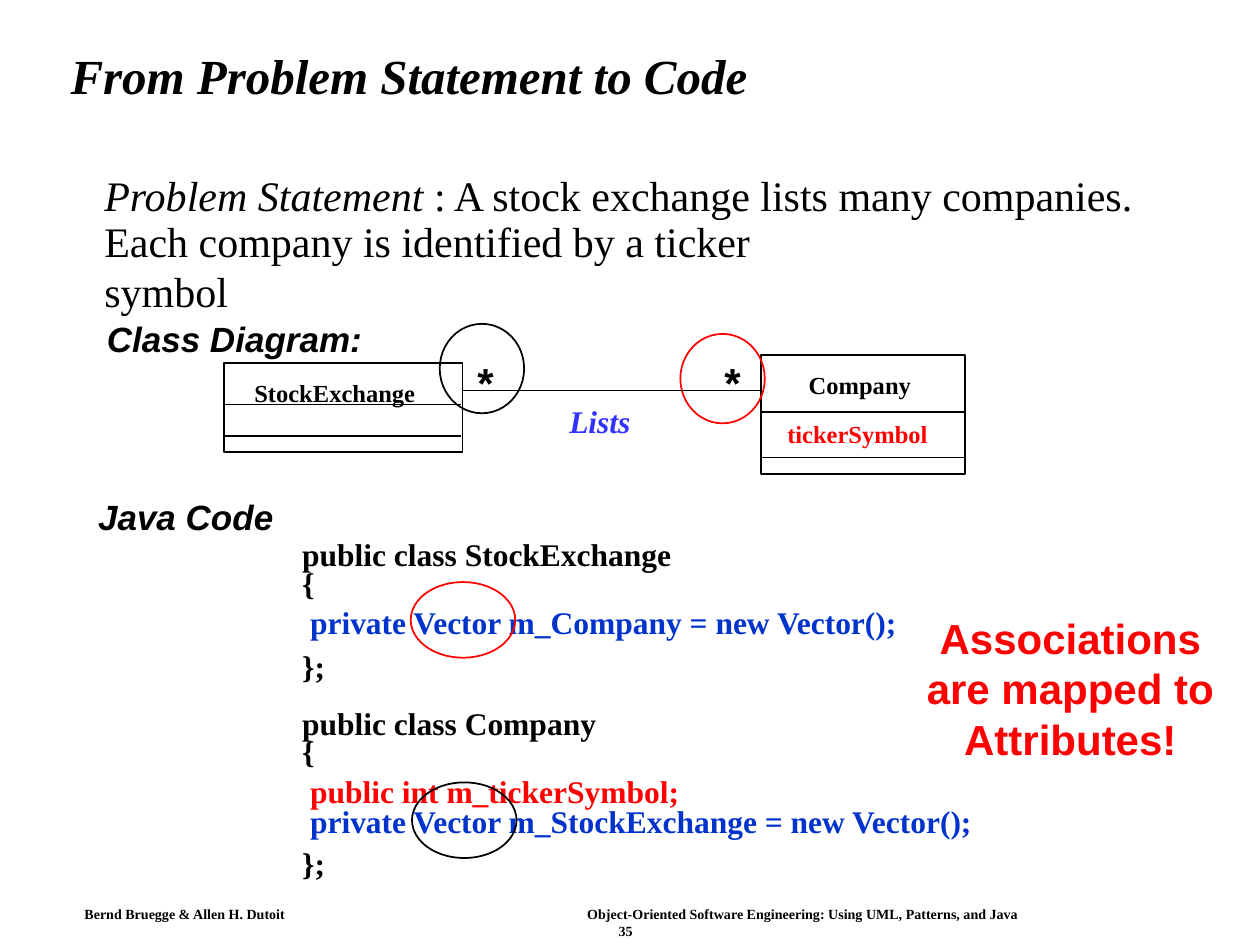
from dataclasses import dataclass

from lxml.etree import SubElement
from pptx import Presentation
from pptx.dml.color import RGBColor
from pptx.enum.shapes import MSO_CONNECTOR, MSO_SHAPE
from pptx.enum.text import MSO_ANCHOR, MSO_AUTO_SIZE, PP_ALIGN
from pptx.oxml.ns import qn
from pptx.util import Inches, Pt


@dataclass(frozen=True)
class Theme:
    serif: str = "Times New Roman"
    sans: str = "Arial"
    black: str = "000000"
    red: str = "FF0000"
    blue: str = "0033CC"
    violet: str = "3333FF"
    title: int = 28
    large: int = 24
    head: int = 20
    code: int = 18
    label: int = 14
    foot: int = 8
    line: int = 1


THEME = Theme()


@dataclass(frozen=True)
class Style:
    size: int
    face: str = THEME.serif
    color: str = THEME.black
    bold: bool = True
    slant: bool = False


@dataclass(frozen=True)
class Note:
    text: str
    left: float
    top: float
    width: float
    height: float
    style: Style
    space: float = 1.0
    align: PP_ALIGN = PP_ALIGN.LEFT


@dataclass(frozen=True)
class Outline:
    kind: MSO_SHAPE
    left: float
    top: float
    width: float
    height: float
    color: str = THEME.black


@dataclass(frozen=True)
class Rule:
    left: float
    right: float
    top: float


def paint(run, style: Style) -> None:
    font = run.font
    font.name = style.face
    font.size = Pt(style.size)
    font.bold = style.bold
    font.italic = style.slant
    font.color.rgb = RGBColor.from_string(style.color)


def write(slide, note: Note):
    box = slide.shapes.add_textbox(
        Inches(note.left), Inches(note.top), Inches(note.width), Inches(note.height)
    )
    frame = box.text_frame
    frame.word_wrap = True
    frame.text = note.text
    for para in frame.paragraphs:
        para.alignment = note.align
        if note.space != 1:
            para.line_spacing = note.space
        for run in para.runs:
            paint(run, note.style)
    return frame


def trace(slide, item: Outline) -> None:
    shape = slide.shapes.add_shape(
        item.kind, Inches(item.left), Inches(item.top),
        Inches(item.width), Inches(item.height),
    )
    shape.shadow.inherit = False
    shape.fill.background()
    shape.line.color.rgb = RGBColor.from_string(item.color)
    shape.line.width = Pt(THEME.line)


def link(slide, rule: Rule) -> None:
    line = slide.shapes.add_connector(
        MSO_CONNECTOR.STRAIGHT, Inches(rule.left), Inches(rule.top),
        Inches(rule.right), Inches(rule.top),
    )
    line.line.color.rgb = RGBColor.from_string(THEME.black)
    line.line.width = Pt(THEME.line)
    SubElement(line._element.spPr, qn("a:effectLst"))


def name(slide, text: str) -> None:
    title = slide.shapes.title
    title.left, title.top = Inches(0.46), Inches(0.24)
    title.width, title.height = Inches(8.92), Inches(0.77)
    frame = title.text_frame
    frame.text = text
    frame.auto_size = MSO_AUTO_SIZE.NONE
    frame.vertical_anchor = MSO_ANCHOR.MIDDLE
    para = frame.paragraphs[0]
    para.alignment = PP_ALIGN.LEFT
    para.line_spacing = 0.9
    paint(para.runs[0], Style(THEME.title, slant=True))


def state(slide) -> None:
    plain = Style(THEME.large, bold=False)
    lead = Style(THEME.large, bold=False, slant=True)
    frame = write(slide, Note("Problem Statement", 0.73, 1.3, 8.5, 0.5, lead))
    run = frame.paragraphs[0].add_run()
    run.text = " : A stock exchange lists many companies."
    paint(run, plain)
    write(slide, Note("Each company is identified by a ticker symbol",
                      0.73, 1.66, 6.3, 0.87, plain))


def sign(slide) -> None:
    text = ("Bernd Bruegge & Allen H. Dutoit\t"
            "Object-Oriented Software Engineering: Using UML, Patterns, and Java\n35")
    frame = write(slide, Note(text, 0.59, 7.15, 8.75, 0.33, Style(THEME.foot)))
    frame.margin_left = frame.margin_right = Inches(0.08)
    frame.margin_top = frame.margin_bottom = Inches(0.04)
    first, last = frame.paragraphs
    tabs = SubElement(first._p.get_or_add_pPr(), qn("a:tabLst"))
    SubElement(tabs, qn("a:tab"), pos=str(Inches(3.99)), algn="l")
    last.alignment = PP_ALIGN.CENTER


HEAD = Style(THEME.head, THEME.sans, slant=True)
LABEL = Style(THEME.label)
STAR = Style(THEME.large, THEME.sans)
CODE = Style(THEME.code)
LINK = Style(THEME.code, color=THEME.blue)
FIELD = Style(THEME.code, color=THEME.red)

NOTES = [
    Note("Class Diagram:", 0.75, 2.47, 2.3, 0.43, HEAD),
    Note("Java Code", 0.68, 3.82, 1.65, 0.5, HEAD, 1.2),
    Note("StockExchange", 1.92, 2.95, 1.55, 0.33, LABEL),
    Note("Company", 6.32, 2.89, 1.1, 0.33, LABEL),
    Note("tickerSymbol", 6.15, 3.28, 1.4, 0.33,
         Style(THEME.label, color=THEME.red)),
    Note("Lists", 4.42, 3.14, 0.8, 0.4,
         Style(THEME.code, color=THEME.violet, slant=True)),
    Note("*", 3.69, 2.78, 0.35, 0.5, STAR),
    Note("*", 5.65, 2.78, 0.35, 0.5, STAR),
    Note("Associations\nare mapped to\nAttributes!", 7.21, 4.81, 2.57, 1.3,
         Style(THEME.large, THEME.sans, THEME.red), align=PP_ALIGN.CENTER),
]

LINES = [
    ("public class StockExchange", 4.14, 3.2, CODE),
    ("{", 4.37, 0.35, CODE),
    (" private Vector m_Company = new Vector();", 4.68, 5.05, LINK),
    ("};", 5.03, 0.45, CODE),
    ("public class Company", 5.48, 2.6, CODE),
    ("{", 5.7, 0.35, CODE),
    (" public int m_tickerSymbol;", 6.02, 3.25, FIELD),
    (" private Vector m_StockExchange = new Vector();", 6.26, 5.65, LINK),
    ("};", 6.59, 0.45, CODE),
]

SHAPES = [
    Outline(MSO_SHAPE.RECTANGLE, 1.78, 2.88, 1.89, 0.71),
    Outline(MSO_SHAPE.RECTANGLE, 6.04, 2.82, 1.62, 0.94),
    Outline(MSO_SHAPE.OVAL, 3.49, 2.57, 0.67, 0.71),
    Outline(MSO_SHAPE.OVAL, 5.4, 2.65, 0.67, 0.71, THEME.red),
    Outline(MSO_SHAPE.OVAL, 3.26, 4.62, 0.83, 0.6, THEME.red),
    Outline(MSO_SHAPE.OVAL, 3.27, 6.21, 0.83, 0.6),
]

RULES = [
    Rule(1.78, 3.66, 3.21),
    Rule(1.78, 3.66, 3.46),
    Rule(6.05, 7.66, 3.27),
    Rule(6.05, 7.66, 3.63),
    Rule(3.67, 6.03, 3.1),
]


def main() -> None:
    deck = Presentation()
    deck.slide_width, deck.slide_height = Inches(10), Inches(7.5)
    slide = deck.slides.add_slide(deck.slide_layouts[5])
    name(slide, "From Problem Statement to Code")
    state(slide)
    for note in NOTES:
        write(slide, note)
    for text, top, width, style in LINES:
        write(slide, Note(text, 2.3, top, width, 0.46, style, 1.2))
    for item in SHAPES:
        trace(slide, item)
    for rule in RULES:
        link(slide, rule)
    sign(slide)
    deck.save("out.pptx")


if __name__ == "__main__":
    main()
